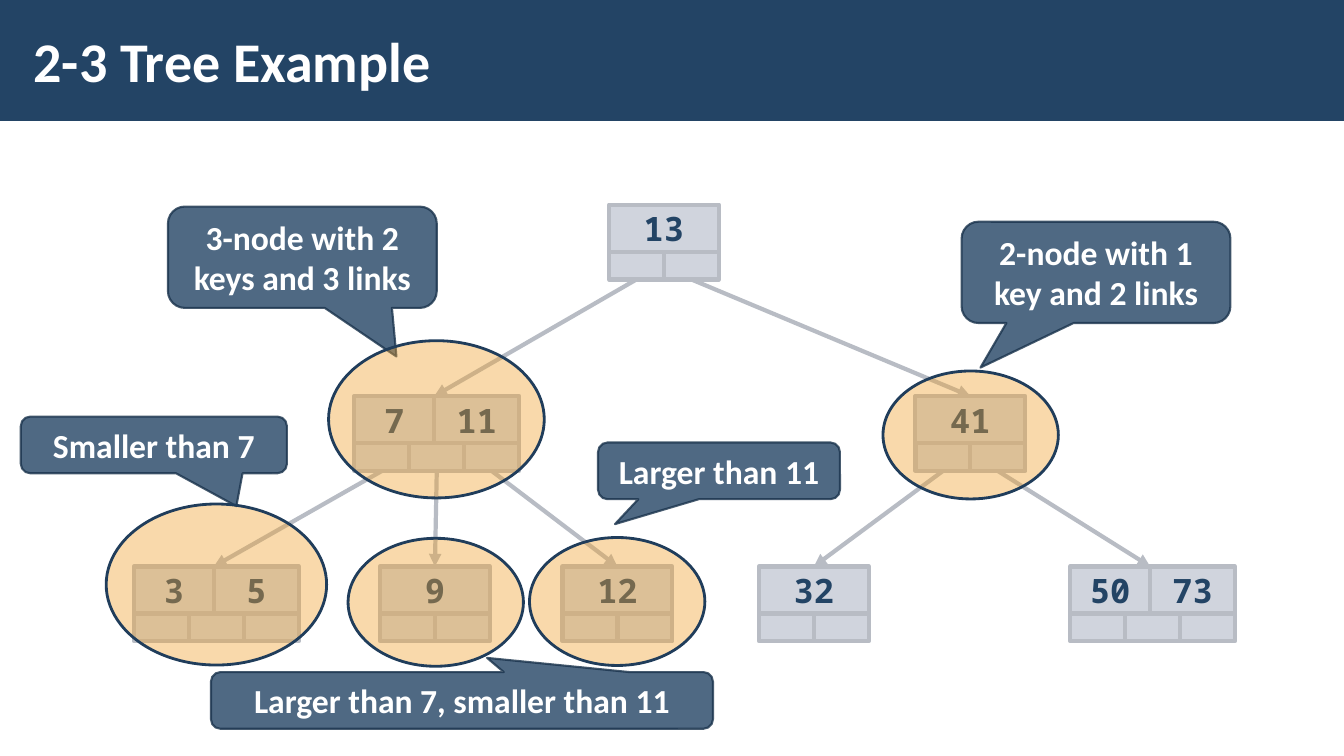
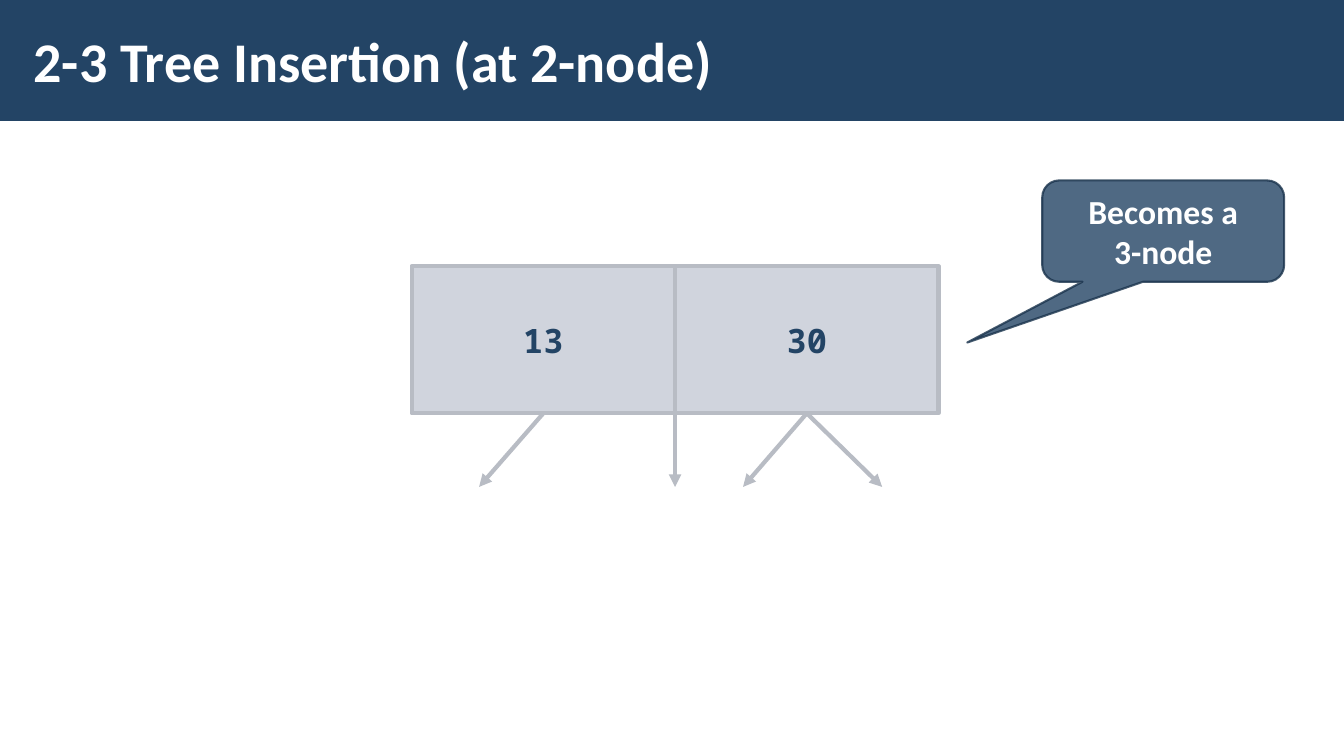
from dataclasses import dataclass

import pptx
import pptx.dml.color
import pptx.enum.shapes
import pptx.enum.text
import pptx.oxml
import pptx.oxml.ns
import pptx.util

SHAPE = pptx.enum.shapes.MSO_SHAPE
ALIGN = pptx.enum.text.PP_ALIGN
MIDDLE = pptx.enum.text.MSO_ANCHOR.MIDDLE
BOTTOM_SIDE, TOP_SIDE = 2, 0
TITLE_ONLY = 5


@dataclass(frozen=True)
class Theme:
    navy: str = "234465"
    white: str = "FFFFFF"
    cell: str = "A3ABBC"
    edge: str = "B8BCC4"
    callout_edge: str = "1A334C"
    halo: str = "F0A22E"
    halo_edge: str = "203D5B"
    text_font: str = "Calibri"
    key_font: str = "Noto Sans Mono"
    title_size: int = 40
    body_size: int = 24


THEME = Theme()


@dataclass(frozen=True)
class Box:
    left: float
    top: float
    width: float
    height: float

    def point(self, column, row):
        """Place a point on this box's grid of 100 columns and 100 rows."""
        return (round(self.left + self.width * column / 100),
                round(self.top + self.height * row / 100))

    def area(self, column, row, columns, rows):
        left, top = self.point(column, row)
        right, bottom = self.point(column + columns, row + rows)
        return Box(left, top, right - left, bottom - top)

    def frame(self):
        return self.left, self.top, self.width, self.height


@dataclass
class Node:
    keys: list
    links: list
    entry: tuple


def rgb(color):
    return pptx.dml.color.RGBColor.from_string(color)


def set_opacity(element, percent):
    """Make the solid fill directly inside a shape or line element translucent."""
    color = element.find(pptx.oxml.ns.qn("a:solidFill"))[0]
    alpha = pptx.oxml.parse_xml(
        f'<a:alpha {pptx.oxml.ns.nsdecls("a")} val="{percent * 1000}"/>')
    color.append(alpha)


def add_filled(slide, kind, box, fill, opacity=100, line=None, points=0):
    shape = slide.shapes.add_shape(kind, *box.frame())
    shape.shadow.inherit = False
    shape.fill.solid()
    shape.fill.fore_color.rgb = rgb(fill)
    if opacity < 100:
        set_opacity(shape.element.spPr, opacity)
    if line:
        shape.line.color.rgb = rgb(line)
        shape.line.width = pptx.util.Pt(points)
    else:
        shape.line.fill.background()
    return shape


def write(shape, text, font, size, color, align=ALIGN.CENTER, wrap=True):
    frame = shape.text_frame
    frame.word_wrap = wrap
    frame.vertical_anchor = MIDDLE
    paragraph = frame.paragraphs[0]
    paragraph.text = text
    paragraph.alignment = align
    paragraph.font.name = font
    paragraph.font.size = pptx.util.Pt(size)
    paragraph.font.bold = True
    paragraph.font.color.rgb = rgb(color)


def add_title(slide, box, text):
    title = slide.shapes.title
    title.left, title.top, title.width, title.height = box.frame()
    frame = title.text_frame
    frame.auto_size = pptx.enum.text.MSO_AUTO_SIZE.NONE
    frame.margin_left = frame.margin_right = pptx.util.Inches(0.12)
    frame.margin_top = frame.margin_bottom = pptx.util.Inches(0.04)
    write(title, text, THEME.text_font, THEME.title_size, THEME.white, ALIGN.LEFT)


def add_cell(slide, box, key=None):
    cell = add_filled(slide, SHAPE.RECTANGLE, box, THEME.cell, 50, THEME.edge, 3)
    if key:
        write(cell, key, THEME.key_font, THEME.body_size, THEME.navy, wrap=False)
    return cell


def add_callout(slide, box, text, tip):
    """Add a speech bubble; tip is the pointer's offset as shares of the box."""
    callout = add_filled(slide, SHAPE.ROUNDED_RECTANGULAR_CALLOUT, box,
                         THEME.navy, 80, THEME.callout_edge, 1.5)
    set_opacity(callout.line._get_or_add_ln(), 80)
    callout.adjustments[0], callout.adjustments[1] = tip
    write(callout, text, THEME.text_font, THEME.body_size, THEME.white)


def add_arrow(slide, start, end, source=None, target=None):
    """Add an arrow, joined to the source's bottom and the target's top if given."""
    arrow = slide.shapes.add_connector(
        pptx.enum.shapes.MSO_CONNECTOR.STRAIGHT, *start, *end)
    arrow.line.color.rgb = rgb(THEME.edge)
    arrow.line.width = pptx.util.Pt(3)
    namespace = pptx.oxml.ns.nsdecls("a")
    arrow.line._get_or_add_ln().append(
        pptx.oxml.parse_xml(f'<a:tailEnd {namespace} type="triangle"/>'))
    arrow.element.spPr.append(pptx.oxml.parse_xml(f"<a:effectLst {namespace}/>"))
    if source is not None:
        arrow.begin_connect(source, BOTTOM_SIDE)
    if target is not None:
        arrow.end_connect(target, TOP_SIDE)


def add_node(slide, page, center, top, keys):
    """Add a row of keys above a row of links, one link more than keys."""
    link_count = len(keys) + 1
    columns = 4.09 * link_count
    box = page.area(center - columns / 2, top, columns, 9.9)
    split = 48.5 if len(keys) == 2 else 50
    spans = [(0, split), (split, 100 - split)] if len(keys) == 2 else [(0, 100)]
    key_cells = [add_cell(slide, box.area(left, 0, width, 63), key)
                 for key, (left, width) in zip(keys, spans)]
    width = 100 / link_count
    links = [add_cell(slide, box.area(index * width, 63, width, 37))
             for index in range(link_count)]
    return Node(key_cells, links, box.point(split, 0))


def link_nodes(slide, parent, children):
    for link, child in zip(parent.links, children):
        start = (link.left + link.width // 2, link.top + link.height)
        target = child.keys[0] if len(child.keys) == 1 else None
        add_arrow(slide, start, child.entry, link, target)


def build_example(slide, page):
    root_row, inner_row, leaf_row = 27.07, 52.4, 74.93
    root = add_node(slide, page, 49.4, root_row, ["13"])
    left = add_node(slide, page, 32.5, inner_row, ["7", "11"])
    right = add_node(slide, page, 72.2, inner_row, ["41"])
    leaves = [add_node(slide, page, center, leaf_row, keys) for center, keys in [
        (16.1, ["3", "5"]), (32.36, ["9"]), (45.94, ["12"]),
        (60.56, ["32"]), (85.76, ["50", "73"])]]
    link_nodes(slide, root, [left, right])
    link_nodes(slide, left, leaves[:3])
    link_nodes(slide, right, leaves[3:])

    for place, text, tip in [
        ((12.5, 27.33, 20, 13.4), "3-node with 2 keys and 3 links", (0.35, 0.98)),
        ((71.55, 29.33, 20, 13.4), "2-node with 1 key and 2 links", (-0.43, 0.94)),
        ((44.5, 58.53, 18, 7.5), "Larger than 11", (-0.43, 0.94)),
        ((1.55, 55.1, 19.8, 7.5), "Smaller than 7", (0.31, 1.08)),
        ((15.7, 88.9, 37.35, 7.5), "Larger than 7, smaller than 11", (0.05, -0.75)),
    ]:
        add_callout(slide, page.area(*place), text, tip)

    small = (13.05, 16.93)
    for place in [(24.45, 45.07, 16.05, 20.8), (65.7, 49.07, *small),
                  (39.4, 71.1, *small), (25.9, 71.2, *small),
                  (7.9, 66.67, 16.4, 21.3)]:
        add_filled(slide, SHAPE.OVAL, page.area(*place),
                   THEME.halo, 40, THEME.halo_edge, 2)


def build_insertion(slide, page):
    box = page.area(30.63, 35.2, 39.2, 19.47)
    first, second = [add_cell(slide, box.area(index * 50, 0, 50, 100), key)
                     for index, key in enumerate(["13", "30"])]
    for start, end, source in [(25, 12.8, first), (50, 50, None),
                               (75, 62.9, second), (75, 89.3, second)]:
        add_arrow(slide, box.point(start, 100), box.point(end, 150), source)
    add_callout(slide, page.area(77.55, 23.87, 18, 13.4),
                "Becomes a\n3-node", (-0.81, 1.1))


def main():
    presentation = pptx.Presentation()
    presentation.slide_width = pptx.util.Inches(13.33)
    presentation.slide_height = pptx.util.Inches(7.5)
    page = Box(0, 0, presentation.slide_width, presentation.slide_height)
    layout = presentation.slide_layouts[TITLE_ONLY]

    for title, build in [("2-3 Tree Example", build_example),
                         ("2-3 Tree Insertion (at 2-node)", build_insertion)]:
        slide = presentation.slides.add_slide(layout)
        add_title(slide, page.area(1.6, 1.47, 79.7, 12.9), title)
        build(slide, page)

    # The band belongs to the layout, behind every title.
    band = add_filled(slide, SHAPE.RECTANGLE, page.area(0, 0, 100, 16), THEME.navy)
    layout.shapes.element.insert(2, band.element)
    presentation.save("out.pptx")


if __name__ == "__main__":
    main()
